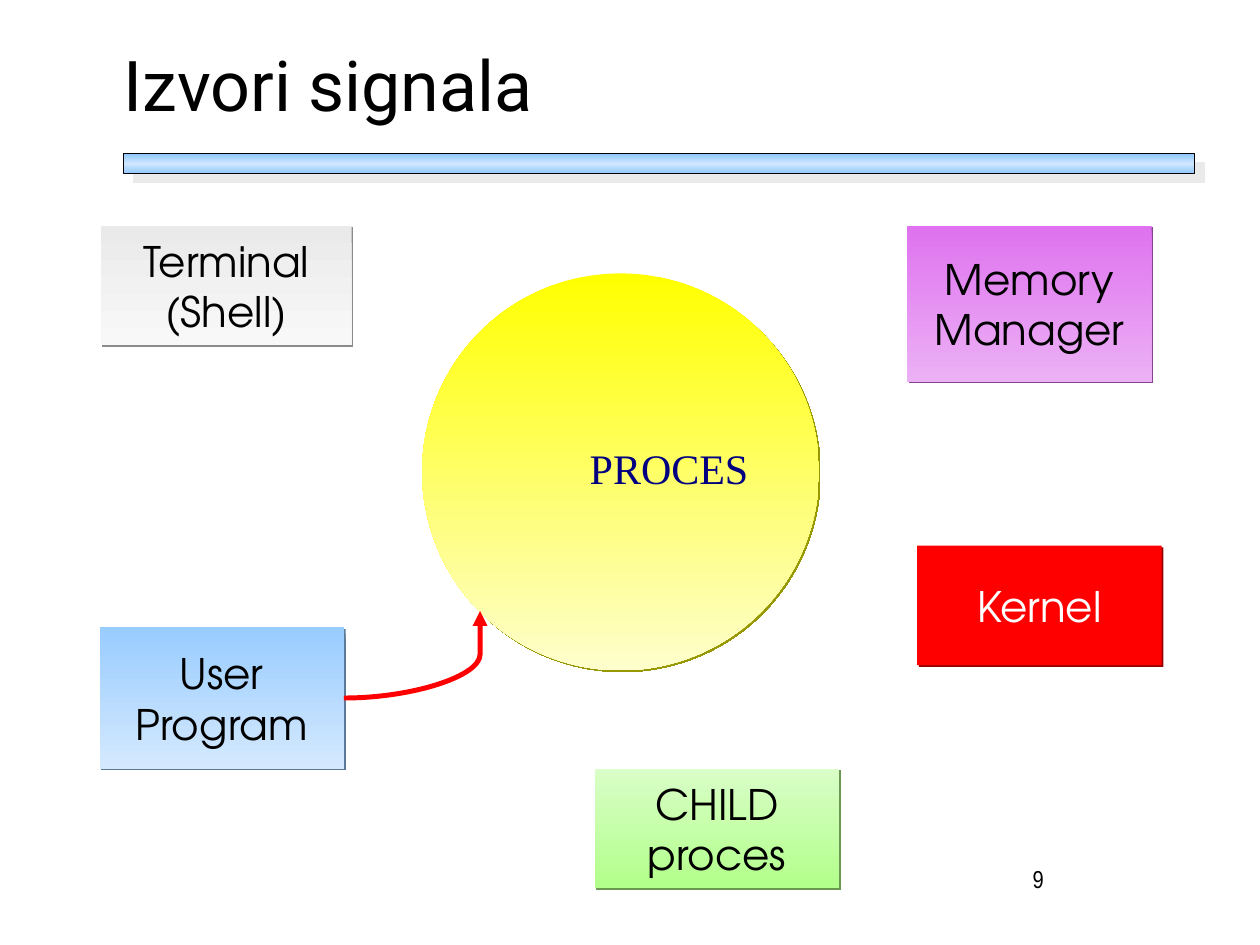
import copy
import pptx
import pptx.dml.color
import pptx.enum.shapes
import pptx.enum.text
import pptx.oxml
import pptx.oxml.ns
import pptx.util

SHAPE = pptx.enum.shapes.MSO_SHAPE
ALIGN = pptx.enum.text.PP_ALIGN
ANCHOR = pptx.enum.text.MSO_ANCHOR
RGB = pptx.dml.color.RGBColor.from_string
QN = pptx.oxml.ns.qn
NAMESPACE = pptx.oxml.ns.nsdecls("a")

THEME = {
    "ink": "000000", "light": "FFFFFF", "navy": "000080", "red": "FF0000",
    "bar": ["8FC7FF", "D0E7FE", "8FC7FF"], "bar_shadow": "EAEAEA",
    "process": ["FFFF00", "FEFECD"], "process_shadow": "989800",
    "title_font": "Roboto", "label_font": "TeX Gyre Adventor",
    "process_font": "Times New Roman", "number_font": "Arial Narrow",
    "title_size": 40, "label_size": 24, "number_size": 14,
}

deck = pptx.Presentation()
deck.slide_width = pptx.util.Inches(10)
deck.slide_height = pptx.util.Inches(7.5)
page = deck.slides.add_slide(deck.slide_layouts[6])
column = deck.slide_width / 100
row = deck.slide_height / 75


def write(box, text, font, size, color=THEME["ink"], align=ALIGN.CENTER,
          anchor=ANCHOR.MIDDLE, inset=(0.1, 0.03), spacing=None):
    frame = box.text_frame
    frame.word_wrap = True
    frame.vertical_anchor = anchor
    frame.margin_left = frame.margin_right = pptx.util.Inches(inset[0])
    frame.margin_top = frame.margin_bottom = pptx.util.Inches(inset[1])
    for index, words in enumerate(text.split("\n")):
        para = frame.add_paragraph() if index else frame.paragraphs[0]
        para.alignment = align
        para.line_spacing = spacing
        span = para.add_run()
        span.text = words
        span.font.name = font
        span.font.size = pptx.util.Pt(size)
        span.font.color.rgb = RGB(color)


def add_solid(kind, area, colors, shadow, distance=1.4, angle=45):
    left, top, width, height = area
    shape = page.shapes.add_shape(kind, round(left * column), round(top * row),
                                  round(width * column), round(height * row))
    shape.line.fill.background()
    if len(colors) == 1:
        shape.fill.solid()
        shape.fill.fore_color.rgb = RGB(colors[0])
    else:
        shape.fill.gradient()
        shape.fill.gradient_angle = 270
        stop_list = shape._element.spPr.find(QN("a:gradFill")).find(QN("a:gsLst"))
        for _ in colors[2:]:
            stop_list.append(copy.deepcopy(stop_list[0]))
        for index, (stop, color) in enumerate(zip(shape.fill.gradient_stops, colors)):
            stop.position = index / (len(colors) - 1)
            stop.color.rgb = RGB(color)
    shape.shadow.inherit = False
    shape._element.spPr.find(QN("a:effectLst")).append(pptx.oxml.parse_xml(
        f'<a:outerShdw {NAMESPACE} blurRad="0" dist="{pptx.util.Pt(distance)}" '
        f'dir="{angle * 60000}" algn="ctr" rotWithShape="0">'
        f'<a:srgbClr val="{shadow}"/></a:outerShdw>'))
    return shape


bar = add_solid(SHAPE.RECTANGLE, (9.8, 12.2, 85, 1.6), THEME["bar"],
                THEME["bar_shadow"], distance=7.8, angle=40)
bar.line.color.rgb = RGB(THEME["ink"])
bar.line.width = pptx.util.Pt(0.75)

title = page.shapes.add_textbox(round(9.8 * column), round(4.4 * row),
                                round(73.2 * column), round(6.7 * row))
write(title, "Izvori signala", THEME["title_font"], THEME["title_size"],
      align=ALIGN.LEFT, inset=(0, 0), spacing=0.56)

process = add_solid(SHAPE.OVAL, (33.5, 21.7, 31.5, 31.5), THEME["process"],
                    THEME["process_shadow"])
write(process, "PROCES", THEME["process_font"], THEME["label_size"],
      color=THEME["navy"], align=ALIGN.RIGHT, spacing=0.86)

sources = [
    ("Terminal\n(Shell)", (8, 17.9, 19.9, 9.5), ["EAEAEA", "F8F8F8"], "8B8B8B", "ink"),
    ("Memory\nManager", (72, 17.9, 19.4, 12.4), ["DF72EF", "ECB1F5"], "85448E", "ink"),
    ("Kernel", (72.8, 43.3, 19.4, 9.5), [THEME["red"]], "980000", "light"),
    ("CHILD proces", (47.2, 61, 19.4, 9.5), ["D9FEC7", "B2FF8B"], "6A9853", "ink"),
    ("User\nProgram", (7.9, 49.8, 19.4, 11.2), ["99CCFF", "D4E9FE"], "5B7998", "ink"),
]
for label, area, colors, shadow, ink in sources:
    source = add_solid(SHAPE.RECTANGLE, area, colors, shadow)
    write(source, label, THEME["label_font"], THEME["label_size"], color=THEME[ink])

arrow = page.shapes.add_connector(
    pptx.enum.shapes.MSO_CONNECTOR.CURVE, round(27.3 * column), round(55.4 * row),
    round(38.1 * column), round(48.5 * row))
arrow.line.color.rgb = RGB(THEME["red"])
arrow.line.width = pptx.util.Pt(2.83)
outline = arrow._element.spPr
outline.find(QN("a:ln")).append(
    pptx.oxml.parse_xml(f'<a:tailEnd {NAMESPACE} type="triangle"/>'))
outline.append(pptx.oxml.parse_xml(f"<a:effectLst {NAMESPACE}/>"))
outline.find(QN("a:prstGeom")).find(QN("a:avLst")).append(
    pptx.oxml.parse_xml(f'<a:gd {NAMESPACE} name="adj1" fmla="val 100000"/>'))

number = page.shapes.add_textbox(round(72 * column), round(68.1 * row),
                                 round(20.8 * column), round(5 * row))
write(number, "9", THEME["number_font"], THEME["number_size"],
      anchor=ANCHOR.TOP, inset=(0.1, 0.05))

deck.save("out.pptx")
